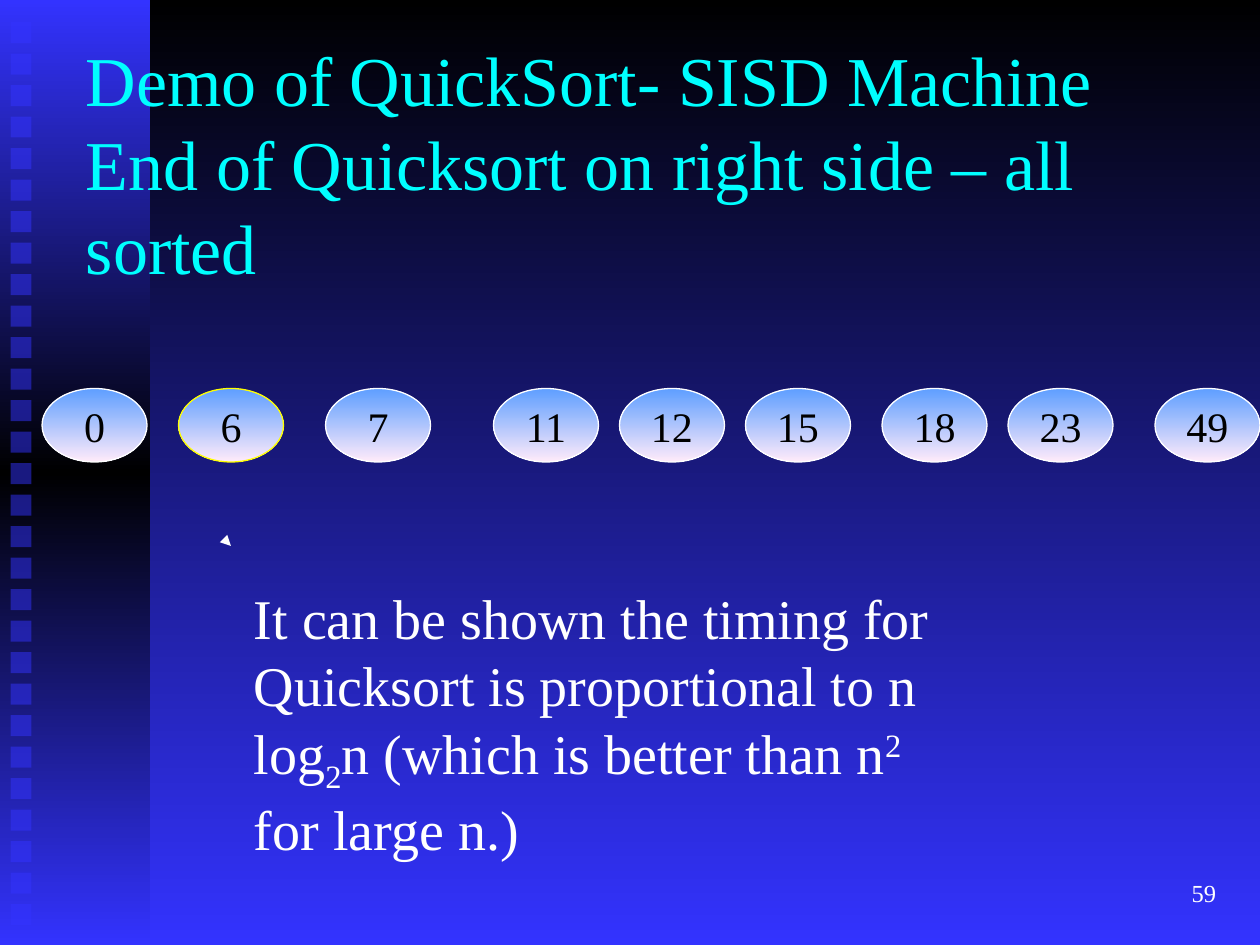
from lxml import etree
from pptx import Presentation
from pptx.dml.color import RGBColor
from pptx.enum.shapes import MSO_CONNECTOR, MSO_SHAPE
from pptx.enum.text import MSO_ANCHOR, PP_ALIGN
from pptx.oxml.ns import qn
from pptx.util import Pt

RECT, OVAL = MSO_SHAPE.RECTANGLE, MSO_SHAPE.OVAL
LEFT, CENTER, RIGHT = PP_ALIGN.LEFT, PP_ALIGN.CENTER, PP_ALIGN.RIGHT
TOP, MIDDLE = MSO_ANCHOR.TOP, MSO_ANCHOR.MIDDLE

FONT = "Times New Roman"
BLUE, BLACK, WHITE, CYAN, YELLOW = "3333FF", "000000", "FFFFFF", "00FFFF", "FFFF00"

TITLE = "Demo of QuickSort- SISD Machine\nEnd of Quicksort on right side – all sorted"
NUMBERS = [
    (0, 24), (6, 102), (7, 186), (11, 282), (12, 354),
    (15, 426), (18, 504), (23, 576), (49, 660),
]
HIGHLIGHTED = 6
TIMING = [
    ("It can be shown the timing for Quicksort is proportional to n log", 0),
    ("2", -25000),
    ("n (which is better than n", 0),
    ("2 ", 30000),
    ("for large n.)", 0),
]
PAGE = "59"
SQUARE_COUNT, SQUARE_PITCH = 29, 18


def rgb(color):
    return RGBColor.from_string(color)


def gradient(fill, root, colors):
    fill.gradient()
    fill.gradient_angle = 270
    stops = root.find(".//" + qn("a:gsLst"))
    for stop in list(stops):
        stops.remove(stop)
    for i, color in enumerate(colors):
        gs = etree.SubElement(stops, qn("a:gs"), pos=str(100000 * i // (len(colors) - 1)))
        etree.SubElement(gs, qn("a:srgbClr"), val=color)


def add_shape(s, kind, x, y, w, h):
    sp = s.shapes.add_shape(kind, Pt(x), Pt(y), Pt(w), Pt(h))
    sp.shadow.inherit = False
    sp.line.fill.background()
    return sp


def style(p, size, color, align=LEFT):
    p.alignment = align
    p.font.name = FONT
    p.font.size = Pt(size)
    p.font.color.rgb = rgb(color)


def add_text(s, x, y, w, h, anchor):
    tf = s.shapes.add_textbox(Pt(x), Pt(y), Pt(w), Pt(h)).text_frame
    tf.word_wrap = True
    tf.vertical_anchor = anchor
    return tf.paragraphs[0]


def add_sidebar(s):
    sp = add_shape(s, RECT, 0, 0, 85.75, 540)
    gradient(sp.fill, sp._element, [BLUE, BLACK, BLUE])
    for i in range(SQUARE_COUNT):
        sp = add_shape(s, RECT, 6, 12.6 + i * SQUARE_PITCH, 12, 12)
        sp.fill.solid()
        sp.fill.fore_color.rgb = rgb(BLUE)
        clr = sp._element.spPr.find(".//" + qn("a:srgbClr"))
        etree.SubElement(clr, qn("a:alpha"), val="50000")


def add_number(s, number, x):
    sp = add_shape(s, OVAL, x, 222, 60, 42)
    gradient(sp.fill, sp._element, ["5E9EFF", "FFEBFA"])
    sp.line.color.rgb = rgb(YELLOW if number == HIGHLIGHTED else WHITE)
    sp.line.width = Pt(0.75)
    tf = sp.text_frame
    tf.word_wrap = False
    tf.vertical_anchor = MIDDLE
    p = tf.paragraphs[0]
    p.text = str(number)
    style(p, 24, BLACK, CENTER)


def add_arrow(s, x1, y1, x2, y2):
    line = s.shapes.add_connector(MSO_CONNECTOR.STRAIGHT, Pt(x1), Pt(y1), Pt(x2), Pt(y2))
    line.line.color.rgb = rgb(WHITE)
    line.line.width = Pt(0.75)
    etree.SubElement(line.line._get_or_add_ln(), qn("a:tailEnd"), type="triangle")
    etree.SubElement(line._element.spPr, qn("a:effectLst"))


def main():
    prs = Presentation()
    prs.slide_width, prs.slide_height = Pt(720), Pt(540)
    s = prs.slides.add_slide(prs.slide_layouts[6])
    gradient(s.background.fill, s._element, [BLACK, BLUE])
    add_sidebar(s)

    p = add_text(s, 42, 48, 660, 90, MIDDLE)
    p.text = TITLE
    style(p, 40, CYAN)

    for number, x in NUMBERS:
        add_number(s, number, x)
    add_arrow(s, 131.95, 311.93, 132, 312)

    p = add_text(s, 138, 330, 426, 166, TOP)
    for text, baseline in TIMING:
        r = p.add_run()
        r.text = text
        if baseline:
            r.font._element.set("baseline", str(baseline))
    style(p, 32, WHITE)

    p = add_text(s, 552, 492, 150, 36, MIDDLE)
    p.text = PAGE
    style(p, 14, WHITE, RIGHT)
    prs.save("out.pptx")


if __name__ == "__main__":
    main()
